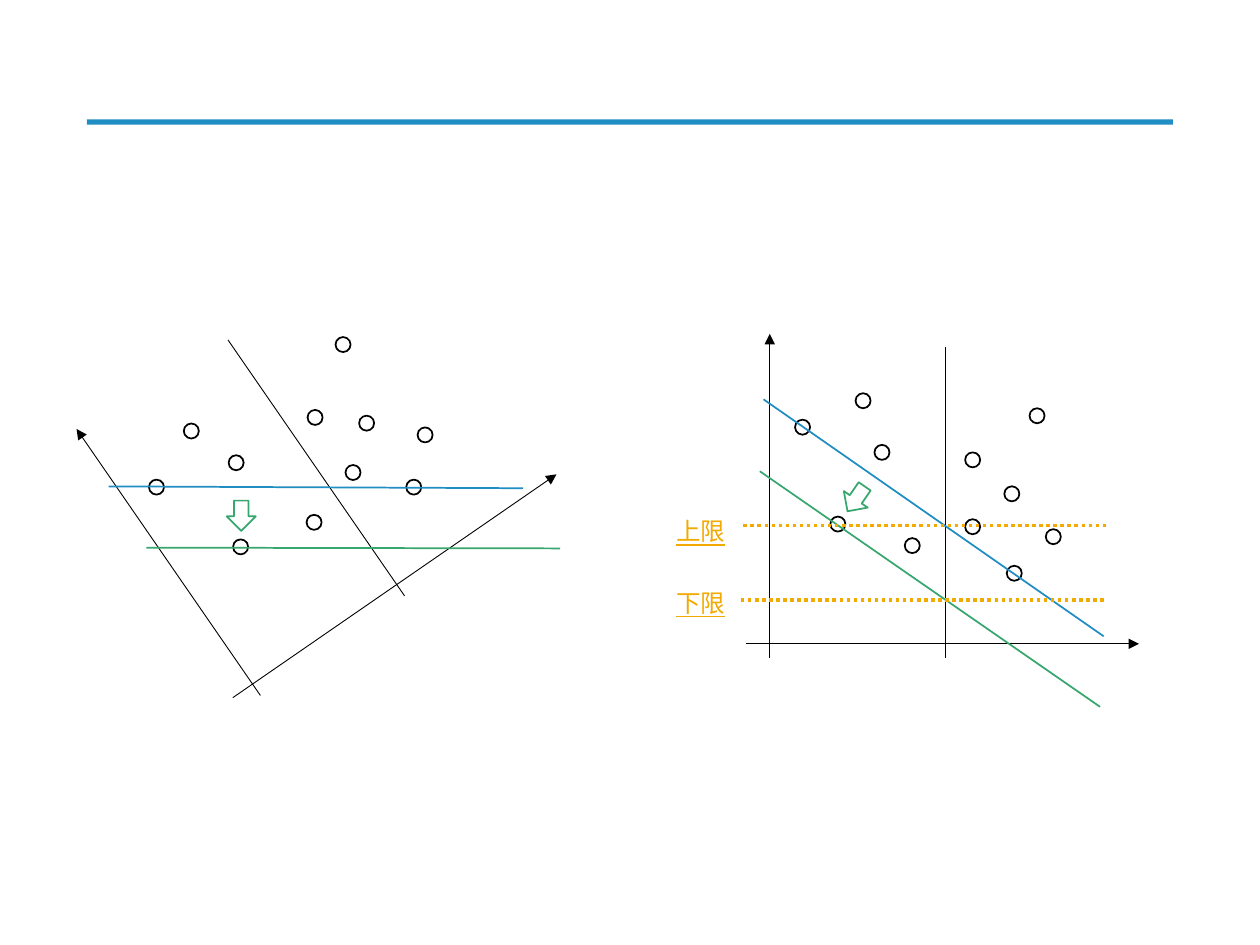
from dataclasses import dataclass
from math import cos, radians, sin

from lxml.etree import SubElement
from pptx import Presentation
from pptx.dml.color import RGBColor
from pptx.enum.dml import MSO_LINE
from pptx.enum.shapes import MSO_CONNECTOR, MSO_SHAPE
from pptx.enum.text import MSO_AUTO_SIZE
from pptx.oxml.ns import qn
from pptx.util import Pt


@dataclass(frozen=True)
class Theme:
    """Colours, font, type size and line widths of the slide."""
    black: RGBColor = RGBColor(0x00, 0x00, 0x00)
    blue: RGBColor = RGBColor(0x20, 0x8D, 0xC3)
    green: RGBColor = RGBColor(0x37, 0xA7, 0x6F)
    orange: RGBColor = RGBColor(0xF2, 0xAA, 0x00)
    font: str = "Calibri"
    label_size: float = 14
    thin: float = 0.5
    medium: float = 1
    thick: float = 2


THEME = Theme()
PIVOT = (478.8, 299.5)
ROTATED_PIVOT = (137.5, 312.5)
ANGLE = 34.6
AXES = [
    ((439.9, 375.8), (439.9, 190.8), True),
    ((426.2, 367.9), (650.9, 367.9), True),
    ((540, 375.8), (540, 198), False),
]
DATA_POINTS = [
    PIVOT, (458.6, 244.1), (579.6, 327.6), (521.3, 311.8), (504, 258.5),
    (555.8, 301), (555.8, 262.8), (493.2, 229), (601.9, 306.7),
    (578.2, 282.2), (592.6, 237.6),
]
BOUNDARIES = [
    ((436.3, 228.2), (630.7, 363.6), THEME.blue),
    ((434.2, 269.3), (628.6, 403.9), THEME.green),
]
SHIFT_ARROW = (489.2, 285.1)
LIMITS = [("下限", 423.4, 342.9, 332.6), ("上限", 424.8, 300.2, 291.6)]


def set_attributes(target, values):
    """Set each named attribute of the target."""
    for name, value in values.items():
        setattr(target, name, value)


def rotate_point(point):
    """Turn a point about the pivot and move it to the rotated plot."""
    across, down = point[0] - PIVOT[0], point[1] - PIVOT[1]
    cosine, sine = cos(radians(ANGLE)), sin(radians(ANGLE))
    return (ROTATED_PIVOT[0] + across * cosine + down * sine,
            ROTATED_PIVOT[1] - across * sine + down * cosine)


def keep_point(point):
    """Leave a point where it is."""
    return point


def add_line(slide, start, end, color, width, arrow=False, dash=None):
    """Draw a straight line, with an arrowhead or a dash if asked."""
    connector = slide.shapes.add_connector(
        MSO_CONNECTOR.STRAIGHT, *(Pt(value) for value in (*start, *end)))
    set_attributes(connector.line, {"width": Pt(width), "dash_style": dash})
    connector.line.color.rgb = color
    if arrow:
        SubElement(connector.line._get_or_add_ln(), qn("a:tailEnd"), type="triangle")
    SubElement(connector._element.spPr, qn("a:effectLst"))


def add_outline(slide, kind, center, size, color, rotation=0):
    """Draw an unfilled preset shape about its centre."""
    width, height = size
    shape = slide.shapes.add_shape(
        kind, Pt(center[0] - width / 2), Pt(center[1] - height / 2),
        Pt(width), Pt(height))
    shape.shadow.inherit = False
    shape.rotation = rotation
    shape.fill.background()
    shape.line.color.rgb = color
    shape.line.width = Pt(THEME.medium)


def add_rule(slide):
    """Draw the bar under the title area."""
    bar = slide.shapes.add_shape(
        MSO_SHAPE.RECTANGLE, Pt(49.7), Pt(68.2), Pt(620.6), Pt(3))
    bar.shadow.inherit = False
    bar.fill.solid()
    bar.fill.fore_color.rgb = THEME.blue
    bar.line.fill.background()


def add_label(slide, text, top):
    """Write an underlined limit label."""
    box = slide.shapes.add_textbox(Pt(379.4), Pt(top), Pt(42.5), Pt(24.5))
    set_attributes(box.text_frame, {
        "word_wrap": False, "auto_size": MSO_AUTO_SIZE.SHAPE_TO_FIT_TEXT})
    run = box.text_frame.paragraphs[0].add_run()
    run.text = text
    set_attributes(run.font, {
        "name": THEME.font, "size": Pt(THEME.label_size), "underline": True})
    run.font.color.rgb = THEME.orange


def add_plot(slide, place, arrow_rotation):
    """Draw axes, data points, boundaries and the shift arrow."""
    for start, end, arrow in AXES:
        add_line(slide, place(start), place(end), THEME.black, THEME.thin, arrow)
    for point in DATA_POINTS:
        add_outline(slide, MSO_SHAPE.OVAL, place(point), (8.6, 8.6), THEME.black)
    for start, end, color in BOUNDARIES:
        add_line(slide, place(start), place(end), color, THEME.medium)
    add_outline(slide, MSO_SHAPE.DOWN_ARROW, place(SHIFT_ARROW), (16.6, 17.3),
                THEME.green, arrow_rotation)


def add_limits(slide):
    """Draw the dotted limit lines with their labels."""
    for text, left, height, label_top in LIMITS:
        add_line(slide, (left, height), (left + 208, height), THEME.orange,
                 THEME.thick, dash=MSO_LINE.ROUND_DOT)
        add_label(slide, text, label_top)


def main():
    """Build the slide and save it."""
    presentation = Presentation()
    set_attributes(presentation, {"slide_width": Pt(720), "slide_height": Pt(540)})
    slide = presentation.slides.add_slide(presentation.slide_layouts[6])
    add_rule(slide)
    add_plot(slide, rotate_point, 0)
    add_plot(slide, keep_point, ANGLE)
    add_limits(slide)
    presentation.save("out.pptx")


if __name__ == "__main__":
    main()
